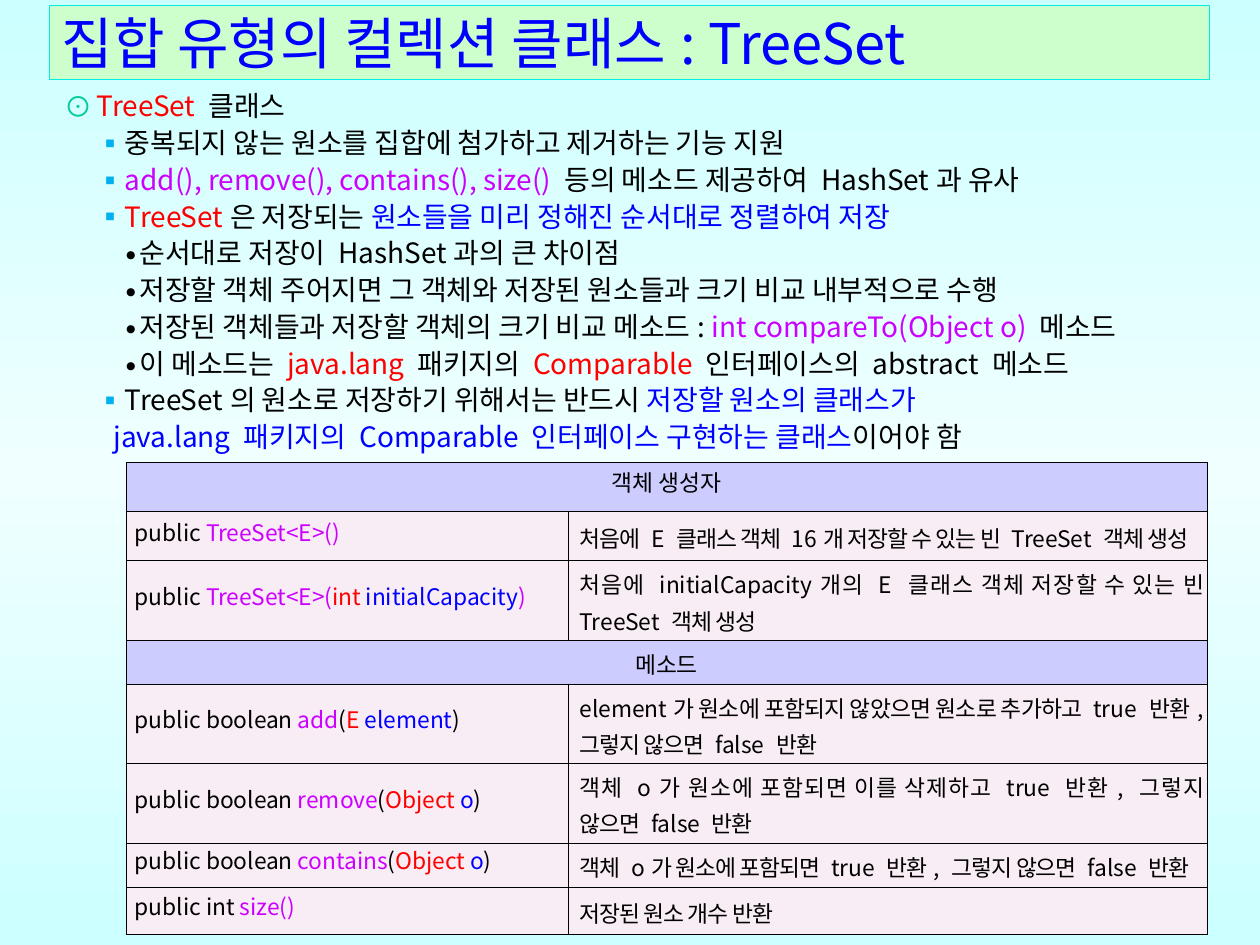
from copy import deepcopy
from lxml import etree
from pptx import Presentation
from pptx.dml.color import RGBColor
from pptx.enum import text
from pptx.oxml import ns
from pptx.util import Inches, Pt

FACE = "Noto Sans CJK KR"
BLACK = RGBColor(0, 0, 0)
BLUE = RGBColor(0, 0, 0xFF)
RED = RGBColor(0xFF, 0, 0)
PINK = RGBColor(0xCC, 0, 0xFF)
GREEN = RGBColor(0, 0xCC, 0x99)
SKY = RGBColor(0, 0xB0, 0xF0)
CYAN = RGBColor(0xCC, 0xFF, 0xFF)
PALE = RGBColor(0xF0, 0xFF, 0xFF)
MINT = RGBColor(0xCC, 0xFF, 0xCC)
EDGE = RGBColor(0x03, 0xED, 0xE2)
LILAC = RGBColor(0xCC, 0xCC, 0xFF)
ROSE = RGBColor(0xF9, 0xED, 0xF5)


def node(root, tag, **attrs):
    return etree.SubElement(root, ns.qn("a:" + tag), attrs)


def write(par, runs, size, tight=False):
    """Add (wording, colour) runs; tight narrows the Hangul ones."""
    for words, hue in runs:
        run = par.add_run()
        run.text = words
        run.font.size = Pt(size)
        run.font.name = FACE
        run.font.color.rgb = hue
        node(run.font._element, "ea", typeface=FACE)
        if tight and any("가" <= c <= "힣" for c in words):
            run.font._element.set("spc", "-50")


deck = Presentation()
deck.slide_width, deck.slide_height = Inches(10), Inches(7.5)
slide = deck.slides.add_slide(deck.slide_layouts[1])

# Background gradient
back = slide.background.fill
back.gradient()
back.gradient_angle = 90
stops = slide.element.find(".//" + ns.qn("a:gsLst"))
stops.append(deepcopy(stops[-1]))
for stop, spot, hue in zip(back.gradient_stops, (0, 0.5, 1), (CYAN, PALE, CYAN)):
    stop.position = spot
    stop.color.rgb = hue

# Title bar
title = slide.shapes.title
title.left, title.top = Inches(0.39), Inches(0.04)
title.width, title.height = Inches(9.21), Inches(0.59)
title.fill.solid()
title.fill.fore_color.rgb = MINT
title.line.color.rgb = EDGE
title.line.width = Pt(0.25)
frame = title.text_frame
frame.auto_size = text.MSO_AUTO_SIZE.NONE
frame.vertical_anchor = text.MSO_ANCHOR.MIDDLE
frame.paragraphs[0].alignment = text.PP_ALIGN.LEFT
write(frame.paragraphs[0], [("집합 유형의 컬렉션 클래스: TreeSet", BLUE)], 32)

# Outline: mark, mark colour, text indent, hanging part
TOP = ("⊙", GREEN, 0.26, 0.26)
SUB = ("▪", SKY, 0.46, 0.2)
DOT = ("∙", BLACK, 0.56, 0.1)
MORE = (None, None, 0.39, 0)
points = [
    (TOP, [("TreeSet ", RED), ("클래스", BLACK)]),
    (SUB, [("중복되지 않는 원소를 집합에 첨가하고 제거하는 기능 지원", BLACK)]),
    (SUB, [("add(), remove(), contains(), size() ", PINK),
           ("등의 메소드 제공하여 HashSet과 유사", BLACK)]),
    (SUB, [("TreeSet", RED), ("은 저장되는 ", BLACK),
           ("원소들을 미리 정해진 순서대로 정렬하여 저장", BLUE)]),
    (DOT, [("순서대로 저장이 HashSet과의 큰 차이점", BLACK)]),
    (DOT, [("저장할 객체 주어지면 그 객체와 저장된 원소들과 크기 비교 내부적으로 수행", BLACK)]),
    (DOT, [("저장된 객체들과 저장할 객체의 크기 비교 메소드: ", BLACK),
           ("int compareTo(Object o) ", PINK), ("메소드", BLACK)]),
    (DOT, [("이 메소드는 ", BLACK), ("java.lang ", RED), ("패키지의 ", BLACK),
           ("Comparable ", RED), ("인터페이스의 abstract 메소드", BLACK)]),
    (SUB, [("TreeSet의 원소로 저장하기 위해서는 반드시 ", BLACK),
           ("저장할 원소의 클래스가", BLUE)]),
    (MORE, [("java.lang 패키지의 Comparable 인터페이스 구현하는 클래스", BLUE),
            ("이어야 함", BLACK)]),
]
body = slide.placeholders[1]
body.left, body.top = Inches(0.41), Inches(0.63)
body.width, body.height = Inches(9.59), Inches(3.25)
frame = body.text_frame
frame.auto_size = text.MSO_AUTO_SIZE.NONE
for i, ((mark, tint, left, hang), runs) in enumerate(points):
    par = frame.add_paragraph() if i else frame.paragraphs[0]
    props = par._p.get_or_add_pPr()
    props.set("marL", str(Inches(left)))
    props.set("indent", str(-Inches(hang)))
    if mark:
        node(node(props, "buClr"), "srgbClr", val=str(tint))
        node(props, "buFont", typeface=FACE)
        node(props, "buChar", char=mark)
    else:
        node(props, "buNone")
    par.line_spacing = Pt(21)
    par.space_before = Pt(0)
    write(par, runs, 16)

# Table of constructors and methods; a bar separates description runs
rows = [
    (0.39, [("객체 생성자", BLACK)], None),
    (0.39, [("public ", BLACK), ("TreeSet<E>()", PINK)],
     "처음에 |E |클래스 객체 |16|개 저장할 수 있는 빈 |TreeSet |객체 생성"),
    (0.61, [("public ", BLACK), ("TreeSet<E>(", PINK), ("int ", RED),
            ("initialCapacity", BLUE), (")", PINK)],
     "처음에 |initialCapacity|개의 |E |클래스 객체 저장할 수 있는 빈 |TreeSet |객체 생성"),
    (0.32, [("메소드", BLACK)], None),
    (0.61, [("public boolean ", BLACK), ("add", PINK), ("(", BLACK), ("E ", RED),
            ("element", BLUE), (")", BLACK)],
     "element|가 원소에 포함되지 않았으면 원소로 추가하고 |true |반환|, |그렇지 않으면 |false |반환"),
    (0.61, [("public boolean ", BLACK), ("remove", PINK), ("(", BLACK),
            ("Object ", RED), ("o", BLUE), (")", BLACK)],
     "객체 |o|가 원소에 포함되면 이를 삭제하고 |true |반환|, |그렇지 않으면 |false |반환"),
    (0.34, [("public boolean ", BLACK), ("contains", PINK), ("(", BLACK),
            ("Object ", RED), ("o", BLUE), (")", BLACK)],
     "객체 |o|가 원소에 포함되면 |true |반환|, |그렇지 않으면 |false |반환"),
    (0.38, [("public int ", BLACK), ("size()", PINK)], "저장된 원소 개수 반환"),
]
grid = slide.shapes.add_table(len(rows), 2, Inches(1), Inches(3.67),
                              Inches(8.58), Inches(3.66)).table
grid.columns[0].width, grid.columns[1].width = Inches(3.51), Inches(5.07)
for i, (high, sign, note) in enumerate(rows):
    grid.rows[i].height = Inches(high)
    if note is None:
        grid.cell(i, 0).merge(grid.cell(i, 1))
    for j in range(2):
        cell = grid.cell(i, j)
        cell.margin_left = cell.margin_right = Inches(0.03)
        cell.margin_top = cell.margin_bottom = Inches(0.03)
        cell.vertical_anchor = text.MSO_ANCHOR.MIDDLE
        props = cell._tc.get_or_add_tcPr()
        for side in ("lnL", "lnR", "lnT", "lnB"):
            line = node(props, side, w=str(Pt(0.25)))
            node(node(line, "solidFill"), "srgbClr", val=str(BLACK))
        cell.fill.solid()
        cell.fill.fore_color.rgb = ROSE if note else LILAC
        if j and note is None:
            continue
        par = cell.text_frame.paragraphs[0]
        par.line_spacing = 1.1 if j or i == 3 else Pt(13)
        if note is None:
            par.alignment = text.PP_ALIGN.CENTER
        else:
            par._p.get_or_add_pPr().set("marL", str(Inches(0.06 if j else 0.04)))
        if j:
            par.alignment = text.PP_ALIGN.JUSTIFY
            write(par, [(part, BLACK) for part in note.split("|")], 13, tight=True)
        else:
            write(par, sign, 13)

deck.save("out.pptx")
